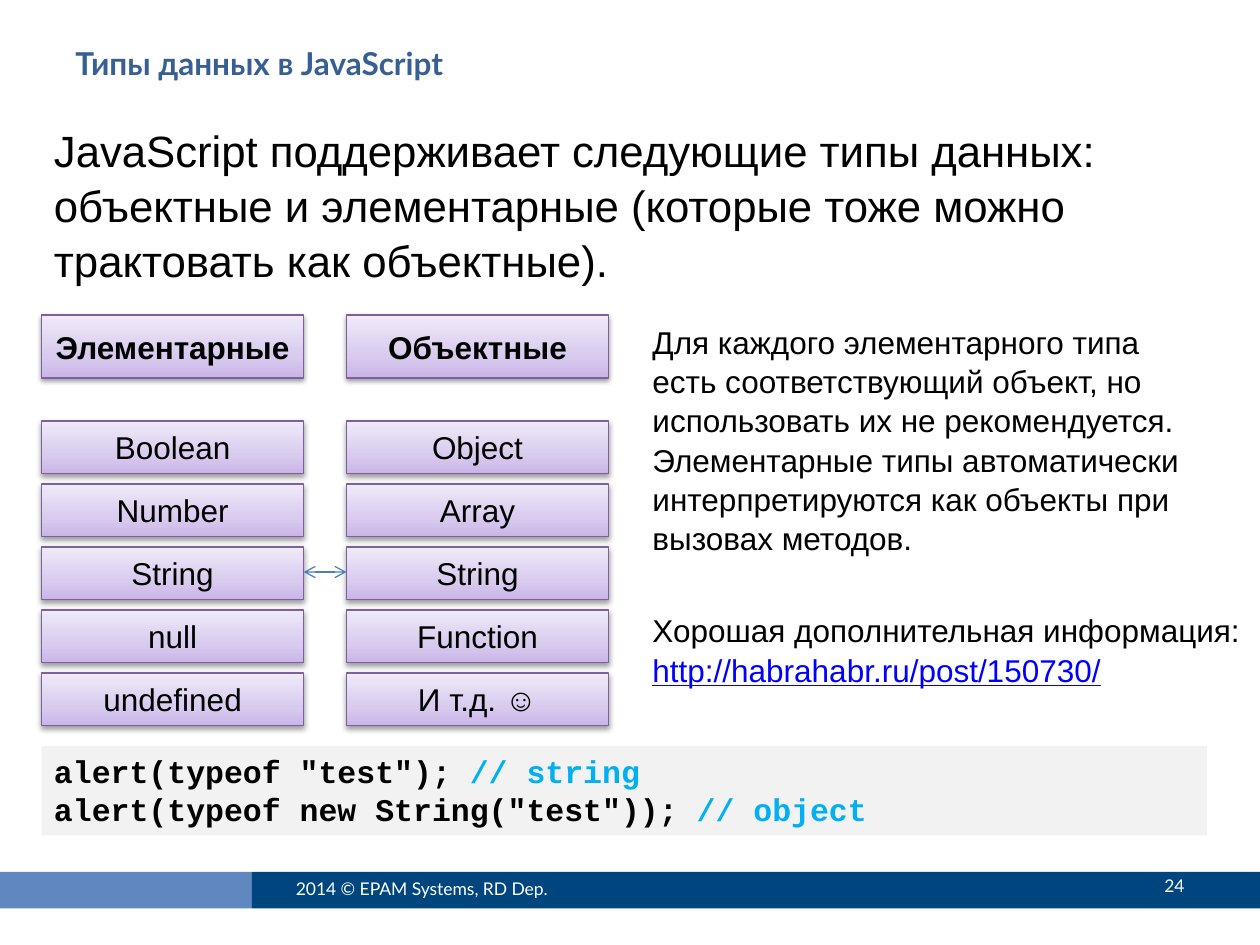
from lxml.etree import SubElement
from pptx import Presentation
from pptx.dml.color import RGBColor
from pptx.enum.shapes import MSO_CONNECTOR, MSO_SHAPE
from pptx.enum.text import MSO_ANCHOR, PP_ALIGN
from pptx.oxml import parse_xml
from pptx.oxml.ns import nsdecls, qn
from pptx.util import Inches, Pt

BLACK, WHITE, COMMENT, LINK = "000000", "FFFFFF", "00B0F0", "0000FF"
COLUMN_LEFTS = (0.33, 2.75)
COLUMN_WIDTH = 2.08
COLUMNS = (
    ("Элементарные", ("Boolean", "Number", "String", "null", "undefined")),
    ("Объектные", ("Object", "Array", "String", "Function", "И т.д. ☺")),
)
ROW_TOP, ROW_STEP, ROW_HEIGHT = 3.34, 0.5, 0.42


def color(hex_value):
    return RGBColor.from_string(hex_value)


def write_text(shape, *paragraphs, size=18, font="Arial", text_color=BLACK, bold=False,
               align=PP_ALIGN.LEFT, anchor=MSO_ANCHOR.TOP, wrap=True, spacing=None):
    """Each paragraph is a string or a list of (text, color, underline) runs."""
    frame = shape.text_frame
    frame.word_wrap = wrap
    frame.vertical_anchor = anchor
    for index, runs in enumerate(paragraphs):
        paragraph = frame.add_paragraph() if index else frame.paragraphs[0]
        paragraph.alignment = align
        paragraph.line_spacing = spacing
        if isinstance(runs, str):
            runs = [(runs, text_color, False)]
        for text, run_color, underline in runs:
            run = paragraph.add_run()
            run.text = text
            run.font.size = Pt(size)
            run.font.name = font
            run.font.bold = bold
            run.font.underline = underline
            run.font.color.rgb = color(run_color)


def add_text(slide, left, top, width, height, *paragraphs, **text_format):
    box = slide.shapes.add_textbox(Inches(left), Inches(top), Inches(width), Inches(height))
    write_text(box, *paragraphs, **text_format)


def add_rectangle(slide, left, top, width, height, fill):
    shape = slide.shapes.add_shape(MSO_SHAPE.RECTANGLE, Inches(left), Inches(top),
                                   Inches(width), Inches(height))
    shape.shadow.inherit = False
    shape.fill.solid()
    shape.fill.fore_color.rgb = color(fill)
    shape.line.fill.background()
    return shape


def add_type_box(slide, left, top, height, text, bold=False):
    shape = add_rectangle(slide, left, top, COLUMN_WIDTH, height, "D8CBEE")
    shape.line.color.rgb = color("7D60A0")
    shape.line.width = Pt(0.75)
    properties = shape.element.spPr
    # Three-stop gradient, dark at the bottom
    stops = "".join(
        f'<a:gs pos="{position * 1000}"><a:srgbClr val="{value}"/></a:gs>'
        for position, value in ((0, "C9B5E8"), (35, "D8CBEE"), (100, "F0EAF9")))
    properties.replace(properties.find(qn("a:solidFill")), parse_xml(
        f'<a:gradFill {nsdecls("a")} rotWithShape="1"><a:gsLst>{stops}</a:gsLst>'
        '<a:lin ang="16200000" scaled="1"/></a:gradFill>'))
    # Soft shadow below
    properties.replace(properties.find(qn("a:effectLst")), parse_xml(
        f'<a:effectLst {nsdecls("a")}><a:outerShdw blurRad="{Pt(3.1)}" dist="{Pt(1.6)}" '
        'dir="5400000" rotWithShape="0"><a:srgbClr val="000000"><a:alpha val="38000"/>'
        '</a:srgbClr></a:outerShdw></a:effectLst>'))
    write_text(shape, text, bold=bold, align=PP_ALIGN.CENTER, anchor=MSO_ANCHOR.MIDDLE)


def add_double_arrow(slide, left, right, y):
    connector = slide.shapes.add_connector(MSO_CONNECTOR.STRAIGHT, Inches(left), Inches(y),
                                           Inches(right), Inches(y))
    connector.line.color.rgb = color("4B7EBC")
    connector.line.width = Pt(0.75)
    line = connector.line._get_or_add_ln()
    for end in ("a:headEnd", "a:tailEnd"):
        SubElement(line, qn(end), type="arrow")
    SubElement(connector.element.spPr, qn("a:effectLst"))


def add_footer(slide):
    add_rectangle(slide, 0, 6.92, 2, 0.29, "6087BF")
    add_rectangle(slide, 2, 6.92, 8, 0.29, "00467E")
    footer_format = dict(size=10, font="Lato", text_color=WHITE, anchor=MSO_ANCHOR.MIDDLE)
    add_text(slide, 2.25, 6.85, 2.67, 0.4, "2014 © EPAM Systems, RD Dep.", **footer_format)
    add_text(slide, 8.42, 6.83, 1.08, 0.4, "24", align=PP_ALIGN.RIGHT, **footer_format)


def add_type_columns(slide):
    for left, (heading, types) in zip(COLUMN_LEFTS, COLUMNS):
        add_type_box(slide, left, 2.5, 0.5, heading, bold=True)
        for row, name in enumerate(types):
            add_type_box(slide, left, ROW_TOP + row * ROW_STEP, ROW_HEIGHT, name)
    # Link between the two String types
    add_double_arrow(slide, COLUMN_LEFTS[0] + COLUMN_WIDTH, COLUMN_LEFTS[1], 4.54)


def main():
    presentation = Presentation()
    presentation.slide_width, presentation.slide_height = Inches(10), Inches(7.5)
    slide = presentation.slides.add_slide(presentation.slide_layouts[6])

    add_footer(slide)

    # Title and introduction
    add_text(slide, 0.5, 0.3, 9, 0.78, "Типы данных в JavaScript",
             font="Lato", text_color="376092", bold=True)
    add_text(slide, 0.33, 0.92, 9.25, 1.36,
             "JavaScript поддерживает следующие типы данных: объектные и элементарные "
             "(которые тоже можно трактовать как объектные).", size=25, spacing=1.04)

    add_type_columns(slide)

    # Explanation and further reading
    add_text(slide, 5.08, 2.5, 4.62, 1.92,
             "Для каждого элементарного типа есть соответствующий объект, но использовать "
             "их не рекомендуется. Элементарные типы автоматически интерпретируются как "
             "объекты при вызовах методов.", spacing=1.04)
    add_text(slide, 5.08, 4.79, 4.91, 0.71, "Хорошая дополнительная информация:",
             [("http://habrahabr.ru/post/150730/", LINK, True)], wrap=False, spacing=1.04)

    # Code sample
    code = add_rectangle(slide, 0.33, 5.92, 9.25, 0.71, "F2F2F2")
    write_text(code,
               [('alert(typeof "test"); ', BLACK, False), ("// string", COMMENT, False)],
               [('alert(typeof new String("test")); ', BLACK, False),
                ("// object", COMMENT, False)],
               font="Courier New", bold=True)

    presentation.save("out.pptx")


if __name__ == "__main__":
    main()
